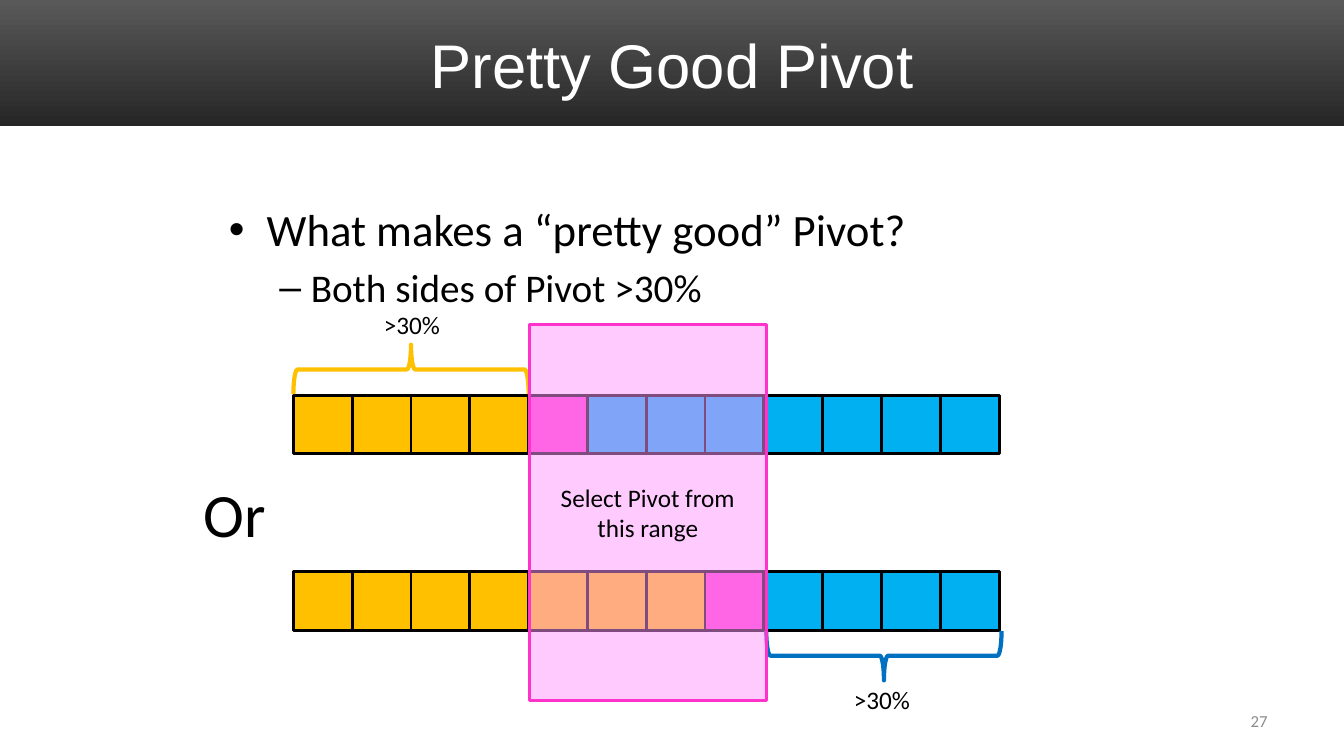
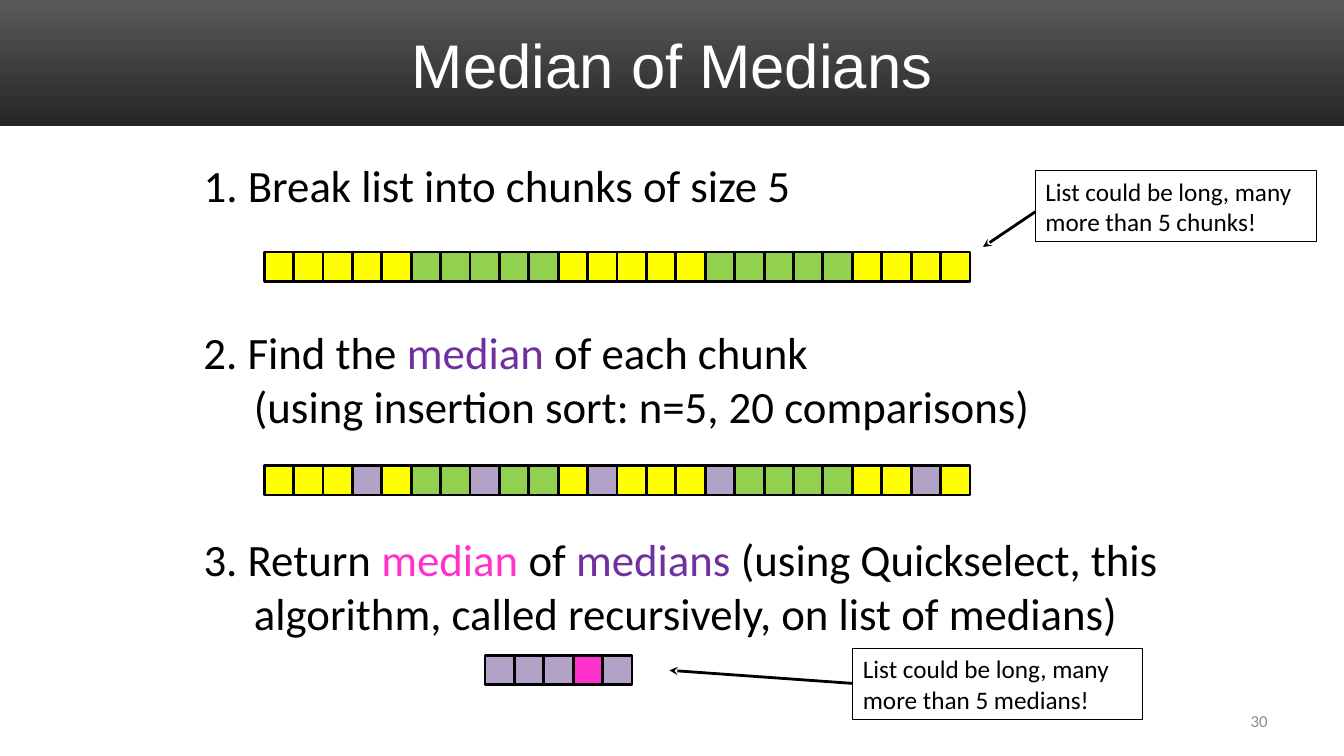
from lxml import etree
from pptx import Presentation
from pptx.dml.color import RGBColor
from pptx.enum.shapes import MSO_CONNECTOR, MSO_SHAPE
from pptx.enum.text import MSO_ANCHOR, MSO_AUTO_SIZE, PP_ALIGN
from pptx.oxml.ns import qn
from pptx.util import Inches, Pt

RECT = MSO_SHAPE.RECTANGLE
BRACE = MSO_SHAPE.RIGHT_BRACE
LINE = MSO_CONNECTOR.STRAIGHT
MIDDLE = MSO_ANCHOR.MIDDLE
LEFT, CENTER, RIGHT = PP_ALIGN.LEFT, PP_ALIGN.CENTER, PP_ALIGN.RIGHT
FIXED = MSO_AUTO_SIZE.NONE

WIDE, HIGH = 13.33, 7.5
BLACK, WHITE, GREY = "000000", "FFFFFF", "8C8C8C"
PINK, PURPLE, ORANGE = "FF33CC", "7030A0", "FFC000"
CELLS = {"O": ORANGE, "P": PINK, "B": "00B0F0",
         "Y": "FFFF00", "G": "92D050", "M": "B3A2C7"}
SPAN = 7


def color(code):
    """Turn a hex string into a colour."""
    return RGBColor.from_string(code)


def place(shape, box):
    """Move a shape to a box in inches."""
    shape.left, shape.top, shape.width, shape.height = map(Inches, box)


def style(para, size, code=BLACK, face="Calibri", align=LEFT):
    """Format every run of a paragraph."""
    para.alignment = align
    for run in para.runs:
        run.font.size = Pt(size)
        run.font.name = face
        run.font.color.rgb = color(code)


def indent(para, left, first):
    """Set a plain paragraph's margin and first line in inches."""
    props = para._p.get_or_add_pPr()
    props.set("marL", str(Inches(left)))
    props.set("indent", str(Inches(first)))
    etree.SubElement(props, qn("a:buNone"))


def draw(shapes, kind, box, fill=None, line=None, width=2):
    """Add a flat preset shape."""
    shape = shapes.add_shape(kind, *map(Inches, box))
    shape.shadow.inherit = False
    if fill:
        shape.fill.solid()
        shape.fill.fore_color.rgb = color(fill)
    else:
        shape.fill.background()
    if line:
        shape.line.color.rgb = color(line)
        shape.line.width = Pt(width)
    else:
        shape.line.fill.background()
    return shape


def label(slide, box, text, size, code=BLACK, align=LEFT):
    """Add one line of text."""
    area = slide.shapes.add_textbox(*map(Inches, box))
    frame = area.text_frame
    frame.text = text
    frame.word_wrap = False
    style(frame.paragraphs[0], size, code, align=align)
    return frame


def step(slide, box, lines):
    """Add a numbered step from lines of coloured parts."""
    frame = slide.shapes.add_textbox(*map(Inches, box)).text_frame
    frame.word_wrap = True
    para = frame.paragraphs[0]
    for i, parts in enumerate(lines):
        if i:
            para.add_line_break()
        for text, code in parts:
            run = para.add_run()
            run.text = text
            run.font.size = Pt(32)
            run.font.name = "Calibri"
            run.font.color.rgb = color(code)
    indent(para, 0.5, -0.5)


def row(slide, left, top, size, keys):
    """Add a grouped row of square cells, one per key."""
    group = slide.shapes.add_group_shape()
    for i, key in enumerate(keys):
        box = (left + i * size, top, size, size)
        draw(group.shapes, RECT, box, CELLS[key], BLACK)


def brace(slide, box, turn, code):
    """Add a brace turned to lie flat in the box."""
    left, top, wide, high = box
    shift = (wide - high) / 2
    upright = (left + shift, top - shift, high, wide)
    draw(slide.shapes, BRACE, upright, None, code, 3).rotation = turn


def note(slide, box, text, start, end):
    """Add a framed remark with an arrow."""
    frame = draw(slide.shapes, RECT, box, None, BLACK, 0.75).text_frame
    frame.text = text
    frame.word_wrap = True
    style(frame.paragraphs[0], 18)
    arrow = slide.shapes.add_connector(LINE, *map(Inches, start + end))
    arrow.line.color.rgb = color(BLACK)
    arrow.line.width = Pt(2)
    tail = etree.SubElement(arrow.line._get_or_add_ln(), qn("a:tailEnd"))
    tail.set("type", "stealth")
    etree.SubElement(arrow._element.spPr, qn("a:effectLst"))


def band(slide, layout):
    """Put the shaded title band and title place on the layout."""
    bar = draw(slide.shapes, RECT, (0, 0, WIDE, 1.25), WHITE)
    bar.fill.gradient()
    bar.fill.gradient_angle = 270
    for stop, pos, code in zip(bar.fill.gradient_stops, (0, 1),
                               ("595959", "262626")):
        stop.position = pos
        stop.color.rgb = color(code)
    layout.shapes._spTree.insert(2, bar._element)
    place(layout.placeholders[0], (0.67, 0.17, 12, 0.92))


def start(deck, title, number, box, text):
    """Add a slide with its title, number and body."""
    slide = deck.slides.add_slide(deck.slide_layouts[1])
    head = slide.shapes.title.text_frame
    head.text = title
    head.vertical_anchor = MIDDLE
    style(head.paragraphs[0], 44, WHITE, "Arial", CENTER)
    body = slide.placeholders[1]
    place(body, box)
    frame = body.text_frame
    frame.text = text
    frame.vertical_anchor = MIDDLE
    frame.auto_size = FIXED
    for level, para in enumerate(frame.paragraphs):
        para.level = level
        style(para, 32 - 4 * level)
    foot = label(slide, (9.56, 6.95, 3.11, 0.4), number, 12, GREY, RIGHT)
    foot.word_wrap = True
    foot.vertical_anchor = MIDDLE
    return slide


def pivot(deck):
    """Build the slide on the pivot's range."""
    slide = start(deck, "Pretty Good Pivot", "27", (2.17, 1.75, 9, 1.58),
                  "What makes a “pretty good” Pivot?\n"
                  "Both sides of Pivot >30%")
    size = SPAN / 12
    left = 2.91
    row(slide, left, 3.92, size, "OOOOPBBBBBBB")
    row(slide, left, 5.67, size, "OOOOOOOPBBBB")
    label(slide, (1.92, 4.67, 0.83, 0.84), "Or", 44)
    brace(slide, (left, 3.42, 4 * size, 0.49), 270, ORANGE)
    brace(slide, (7.6, 6.26, 4 * size, 0.49), 90, "0070C0")
    for x, y in ((3.71, 3.02), (8.37, 6.74)):
        label(slide, (x, y, 0.76, 0.4), ">30%", 18)
    zone = draw(slide.shapes, RECT, (5.25, 3.22, 2.35, 3.73), "FF99FF", PINK)
    tint = zone.fill._xPr.find(qn("a:solidFill"))[0]
    etree.SubElement(tint, qn("a:alpha")).set("val", "50000")
    frame = zone.text_frame
    frame.text = "Select Pivot from this range"
    frame.word_wrap = True
    style(frame.paragraphs[0], 18, align=CENTER)
    return slide


def median(deck):
    """Build the slide on the three steps."""
    slide = start(deck, "Median of Medians", "30", (1.92, 1.42, 9, 0.83),
                  "1. Break list into chunks of size 5")
    indent(slide.placeholders[1].text_frame.paragraphs[0], 0, 0)
    size = SPAN / 24
    left = 2.62
    row(slide, left, 2.5, size, ("YYYYYGGGGG" * 3)[:24])
    step(slide, (1.92, 3.17, 9, 1.17), [
        [("2. Find the ", BLACK), ("median", PURPLE),
         (" of each chunk", BLACK)],
        [("(using insertion sort: n=5, 20 comparisons)", BLACK)]])
    row(slide, left, 4.62, size, "YYYMYGGMGGYMYYYMGGGGYYMY")
    step(slide, (1.92, 5.23, 9.75, 0.83), [
        [("3. Return ", BLACK), ("median", PINK), (" of ", BLACK),
         ("medians ", PURPLE), ("(using Quickselect, this", BLACK)],
        [("algorithm, called recursively, on list of medians)", BLACK)]])
    row(slide, 4.81, 6.5, size, "MMMPM")
    note(slide, (8.46, 6.43, 2.87, 0.71),
         "List could be long, many more than 5 medians!",
         (8.46, 6.78), (6.64, 6.65))
    note(slide, (10.27, 1.69, 2.79, 0.71),
         "List could be long, many more than 5 chunks!",
         (10.27, 2.1), (9.75, 2.45))


def main():
    """Build and save the deck."""
    deck = Presentation()
    deck.slide_width, deck.slide_height = Inches(WIDE), Inches(HIGH)
    band(pivot(deck), deck.slide_layouts[1])
    median(deck)
    deck.save("out.pptx")


if __name__ == "__main__":
    main()
